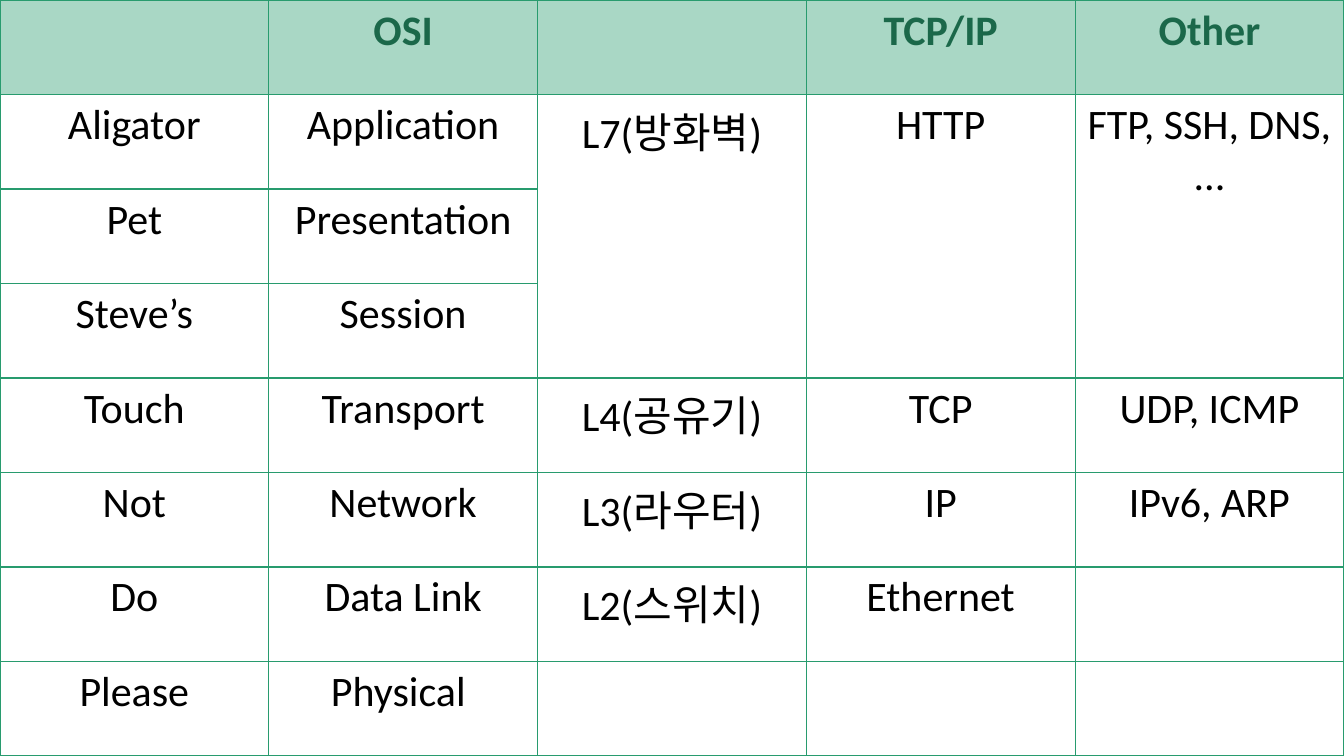
"""Build a one-slide table of the OSI layers beside TCP/IP and other protocols."""
import pptx
import pptx.util
import pptx.dml.color
import pptx.enum.text
import pptx.oxml.ns
from lxml import etree

GREEN, DARK_GREEN, BLACK = "289B6E", "1B684A", "000000"
ROWS = [
    ["", "OSI", "", "TCP/IP", "Other"],
    ["Aligator", "Application", "L7(방화벽)", "HTTP", "FTP, SSH, DNS, ..."],
    ["Pet", "Presentation", "", "", ""],
    ["Steve’s", "Session", "", "", ""],
    ["Touch", "Transport", "L4(공유기)", "TCP", "UDP, ICMP"],
    ["Not", "Network", "L3(라우터)", "IP", "IPv6, ARP"],
    ["Do", "Data Link", "L2(스위치)", "Ethernet", ""],
    ["Please", "Physical ", "", "", ""],
]


def rgb(color):
    return pptx.dml.color.RGBColor.from_string(color)


def add_solid(parent, color, alpha=None):
    fill = etree.SubElement(parent, pptx.oxml.ns.qn("a:solidFill"))
    clr = etree.SubElement(fill, pptx.oxml.ns.qn("a:srgbClr"), val=color)
    if alpha:
        etree.SubElement(clr, pptx.oxml.ns.qn("a:alpha"), val=str(alpha * 1000))


prs = pptx.Presentation()
prs.slide_width = pptx.util.Inches(13.33)
prs.slide_height = pptx.util.Inches(7.5)
s = prs.slides.add_slide(prs.slide_layouts[6])

tbl = s.shapes.add_table(
    len(ROWS), len(ROWS[0]), 0, 0, prs.slide_width, prs.slide_height
).table
tbl.first_row = False
tbl.horz_banding = False

for i, row in enumerate(ROWS):
    for j, text in enumerate(row):
        header = i == 0
        cell = tbl.cell(i, j)
        p = cell.text_frame.paragraphs[0]
        p.text = text
        p.alignment = pptx.enum.text.PP_ALIGN.CENTER
        for r in p.runs:
            r.font.name = "Calibri"
            r.font.size = pptx.util.Pt(30)
            r.font.bold = header
            r.font.color.rgb = rgb(DARK_GREEN if header else BLACK)
        tcPr = cell._tc.get_or_add_tcPr()
        for side in ("a:lnL", "a:lnR", "a:lnT", "a:lnB"):
            ln = etree.SubElement(
                tcPr, pptx.oxml.ns.qn(side), w=str(pptx.util.Pt(1))
            )
            add_solid(ln, GREEN)
        if header:
            add_solid(tcPr, GREEN, 40)
        else:
            cell.fill.background()

for j in range(2, 5):
    tbl.cell(1, j).merge(tbl.cell(3, j))

prs.save("out.pptx")
